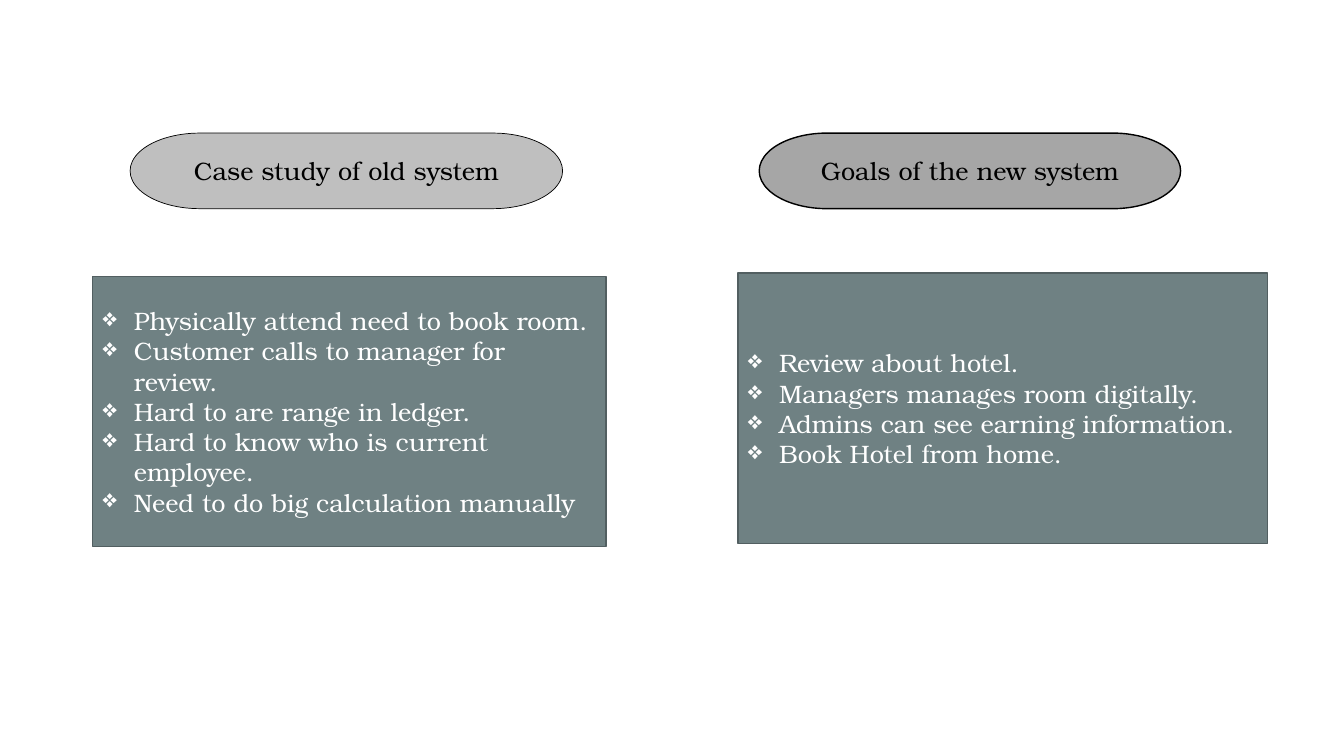
from lxml import etree
from pptx import Presentation
from pptx import util as u
from pptx.dml.color import RGBColor
from pptx.enum import shapes, text
from pptx.oxml.ns import qn

COLORS = {
    "panel": "6F8183",
    "panel_line": "525F61",
    "old_title": "BFBFBF",
    "new_title": "A6A6A6",
    "black": "000000",
    "white": "FFFFFF",
}
FONT = {"name": "TeX Gyre Bonum", "size": u.Pt(18)}
INDENT = {"marL": u.Inches(0.31), "indent": -u.Inches(0.31)}

PANELS = [
    ((0.92, 2.74, 5.09, 2.68), [
        "Physically attend need to book room.",
        "Customer calls to manager for review.",
        "Hard to are range in ledger.",
        "Hard to know who is current employee.",
        "Need to do big calculation manually",
    ]),
    ((7.32, 2.71, 5.25, 2.68), [
        "Review about hotel.",
        "Managers manages room digitally.",
        "Admins can see earning information.",
        "Book Hotel from home.",
    ]),
]
TITLES = [
    ((1.29, 1.32, 4.29, 0.75), "Case study of old system", "old_title", 0.5),
    ((7.53, 1.32, 4.18, 0.75), "Goals of the new system", "new_title", 1),
]


def add_box(kind, place, fill, line, width):
    box = slide.shapes.add_shape(kind, *map(u.Inches, place))
    box.shadow.inherit = False
    box.fill.solid()
    box.fill.fore_color.rgb = RGBColor.from_string(COLORS[fill])
    box.line.color.rgb = RGBColor.from_string(COLORS[line])
    box.line.width = u.Pt(width)
    box.text_frame.word_wrap = True
    box.text_frame.vertical_anchor = text.MSO_ANCHOR.MIDDLE
    return box


def write(para, words, color, align):
    para.alignment = align
    span = para.add_run()
    span.text = words
    for key, value in FONT.items():
        setattr(span.font, key, value)
    span.font.color.rgb = RGBColor.from_string(COLORS[color])


deck = Presentation()
deck.slide_width = u.Inches(13.33)
deck.slide_height = u.Inches(7.5)
slide = deck.slides.add_slide(deck.slide_layouts[6])

for place, points in PANELS:
    box = add_box(shapes.MSO_SHAPE.RECTANGLE, place, "panel", "panel_line", 1)
    for index, point in enumerate(points):
        frame = box.text_frame
        para = frame.add_paragraph() if index else frame.paragraphs[0]
        write(para, point, "white", text.PP_ALIGN.LEFT)
        props = para._p.get_or_add_pPr()
        for key, value in INDENT.items():
            props.set(key, str(value))
        etree.SubElement(props, qn("a:buChar")).set("char", "❖")

for place, title, fill, width in TITLES:
    box = add_box(shapes.MSO_SHAPE.FLOWCHART_TERMINATOR, place, fill, "black", width)
    write(box.text_frame.paragraphs[0], title, "black", text.PP_ALIGN.CENTER)

deck.save("out.pptx")
